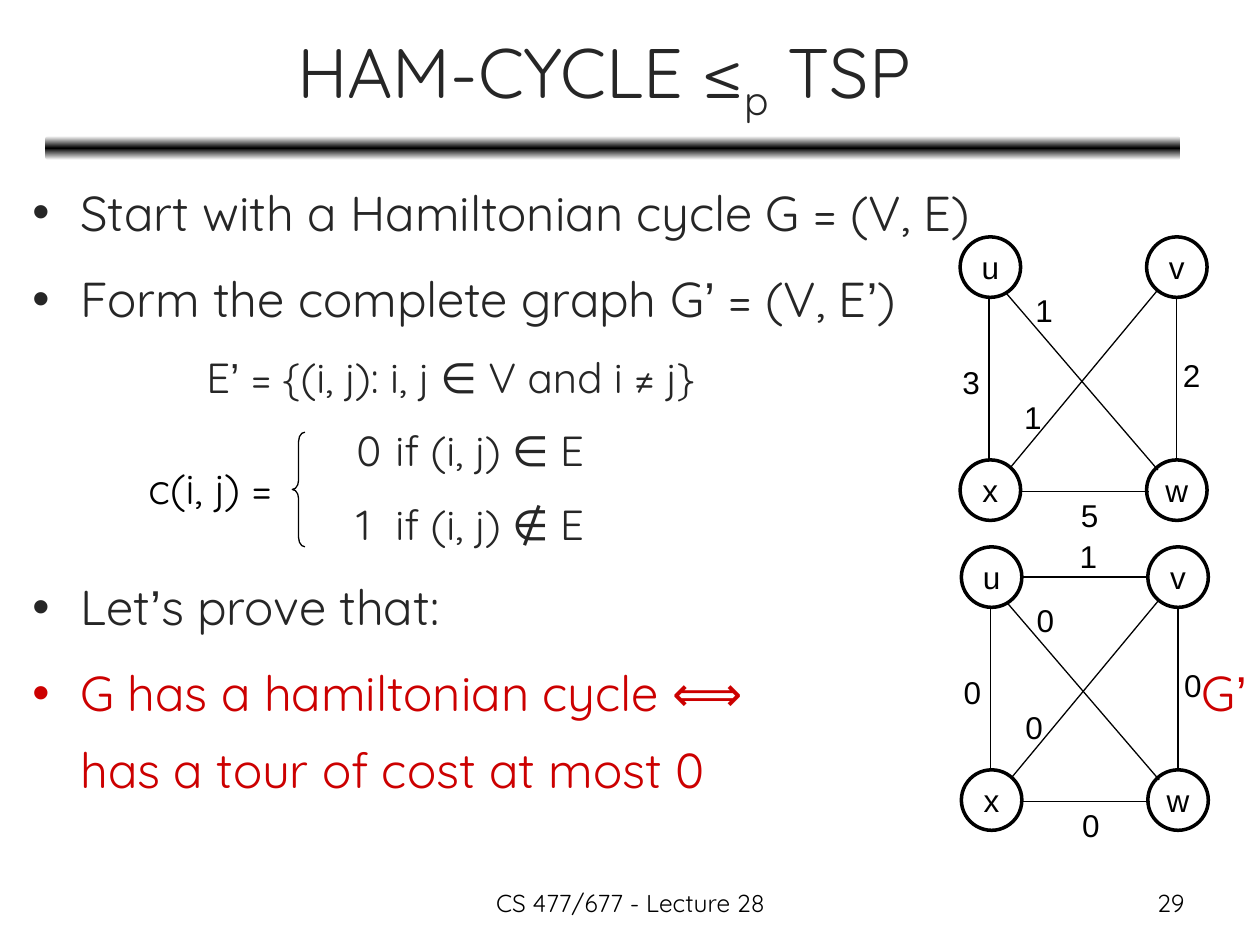
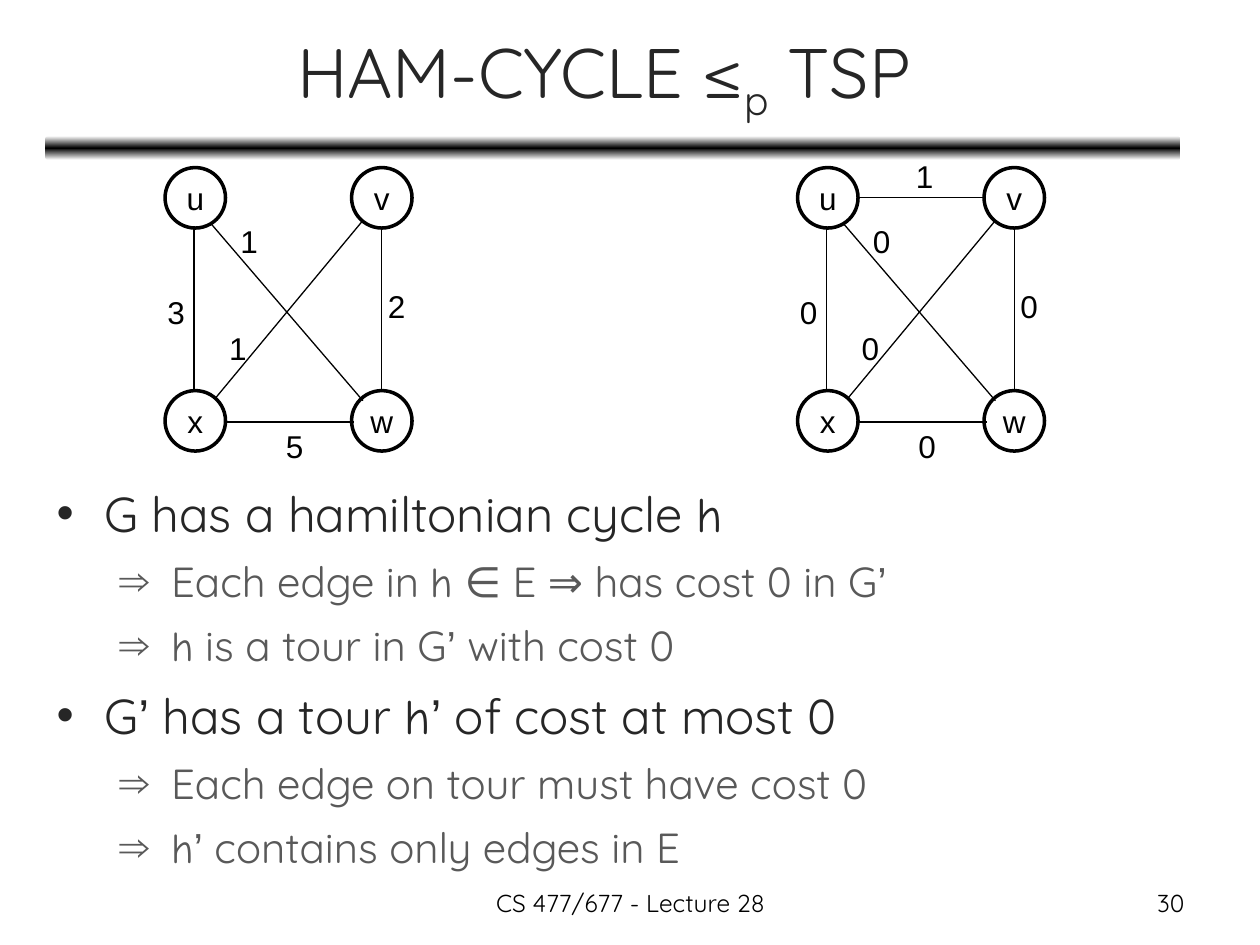
from copy import deepcopy
from itertools import groupby

from lxml import etree
from pptx import Presentation
from pptx.dml.color import RGBColor
from pptx.enum.shapes import MSO_CONNECTOR, MSO_SHAPE
from pptx.enum.text import MSO_ANCHOR, PP_ALIGN
from pptx.oxml.ns import qn
from pptx.util import Inches, Pt

LEFT, MID, RIGHT = PP_ALIGN.LEFT, PP_ALIGN.CENTER, PP_ALIGN.RIGHT
TOP, CENTER = MSO_ANCHOR.TOP, MSO_ANCHOR.MIDDLE
OVAL, BRACE, BAR = MSO_SHAPE.OVAL, MSO_SHAPE.LEFT_BRACE, MSO_SHAPE.ROUNDED_RECTANGLE
LINE = MSO_CONNECTOR.STRAIGHT

MAIN, PLAIN, HAND = "Quicksand", "Arial", "Comic Neue"
BLACK, WHITE, DARK, GRAY, RED = "000000", "FFFFFF", "262626", "595959", "CC0000"
FOOTER = "CS 477/677 - Lecture 28"

NODES = {"u": (0, 0), "v": (1.48, 0), "x": (0, 1.77), "w": (1.48, 1.77)}
EDGES = {
    "xw": ((0.48, 2.02, 1.5, 2.02), (0.86, 2.01)),
    "ux": ((0.23, 0.47, 0.23, 1.77), (-0.08, 0.95)),
    "vw": ((1.72, 0.47, 1.72, 1.77), (1.67, 0.9)),
    "uw": ((0.36, 0.44, 1.57, 1.85), (0.5, 0.38)),
    "xv": ((1.57, 0.42, 0.4, 1.83), (0.41, 1.23)),
    "uv": ((0.47, 0.24, 1.49, 0.24), (0.84, -0.13)),
}
GIVEN = {"xw": 5, "ux": 3, "vw": 2, "uw": 1, "xv": 1}
FULL = {"xw": 0, "ux": 0, "vw": 0, "uw": 0, "xv": 0, "uv": 1}


def paint(code):
    return RGBColor.from_string(code)


def write(par, text, size=18, color=BLACK, font=MAIN, base=0):
    for index, part in enumerate(text.split("*")):
        for quote, chars in groupby(part, lambda char: char == "’"):
            run = par.add_run()
            run.text = "".join(chars)
            run.font.size = Pt(size)
            run.font.color.rgb = paint(color)
            run.font.name = PLAIN if quote else HAND if index % 2 else font
            if base:
                run._r.get_or_add_rPr().set("baseline", str(base * 1000))


def frame(slide, x, y, w, h, wrap=True, anchor=TOP):
    box = slide.shapes.add_textbox(Inches(x), Inches(y), Inches(w), Inches(h))
    box.text_frame.word_wrap = wrap
    box.text_frame.vertical_anchor = anchor
    return box.text_frame


def label(slide, text, x, y, w, h, wrap=True, align=LEFT, **style):
    par = frame(slide, x, y, w, h, wrap).paragraphs[0]
    par.alignment = align
    write(par, text, **style)


def form(slide, kind, x, y, w, h):
    shape = slide.shapes.add_shape(kind, Inches(x), Inches(y), Inches(w), Inches(h))
    shape.shadow.inherit = False
    return shape


def outline(item, width):
    item.line.color.rgb = paint(BLACK)
    item.line.width = Pt(width)


def bar(slide):
    shape = form(slide, BAR, 0.36, 1.08, 9.01, 0.19)
    shape.line.fill.background()
    shape.fill.gradient()
    shape.fill.gradient_angle = 90
    stops = next(shape._element.iter(qn("a:gsLst")))
    stops.insert(1, deepcopy(stops[0]))
    for stop, place, code in zip(shape.fill.gradient_stops, (0, 0.5, 1), (WHITE, BLACK, WHITE)):
        stop.position = place
        stop.color.rgb = paint(code)


def start(deck, number):
    slide = deck.slides.add_slide(deck.slide_layouts[6])
    bar(slide)
    par = frame(slide, 0.37, 0.11, 9, 0.99, anchor=CENTER).paragraphs[0]
    par.alignment = MID
    for text, base in (("HAM-CYCLE ≤", 0), ("p", -25), (" TSP ", 0)):
        write(par, text, size=40, color=DARK, base=base)
    label(slide, str(number), 7.17, 7, 2.33, 0.35, align=RIGHT, size=14)
    label(slide, FOOTER, 3.42, 7, 3.17, 0.35, align=MID, size=14)
    return slide


def node(slide, name, x, y):
    shape = form(slide, OVAL, x, y, 0.48, 0.48)
    shape.fill.solid()
    shape.fill.fore_color.rgb = paint(WHITE)
    outline(shape, 2)
    shape.text_frame.word_wrap = False
    shape.text_frame.vertical_anchor = CENTER
    par = shape.text_frame.paragraphs[0]
    par.alignment = MID
    write(par, name, font=PLAIN)


def edge(slide, *ends):
    line = slide.shapes.add_connector(LINE, *map(Inches, ends))
    outline(line, 0.75)
    etree.SubElement(line._element.spPr, qn("a:effectLst"))


def graph(slide, x, y, costs):
    for name, (dx, dy) in NODES.items():
        node(slide, name, x + dx, y + dy)
    for pair, cost in costs.items():
        (ax, ay, bx, by), (dx, dy) = EDGES[pair]
        edge(slide, x + ax, y + ay, x + bx, y + by)
        label(slide, str(cost), x + dx, y + dy, 0.34, 0.4, wrap=False, font=PLAIN)


def body(slide, place, rows, space):
    text = frame(slide, *place)
    text.margin_right = 0
    for index, (line, size, color, mark, margin, indent, stop) in enumerate(rows):
        par = text.add_paragraph() if index else text.paragraphs[0]
        par.line_spacing = space
        if index:
            par.space_before = Pt(0.2 * size)
        props = par._p.get_or_add_pPr()
        props.set("marL", str(Inches(margin)))
        props.set("indent", str(Inches(indent)))
        if mark:
            etree.SubElement(props, qn("a:buFont"), typeface=PLAIN)
            etree.SubElement(props, qn("a:buChar"), char=mark)
        if stop:
            tabs = etree.SubElement(props, qn("a:tabLst"))
            etree.SubElement(tabs, qn("a:tab"), pos=str(Inches(stop)), algn="l")
        write(par, line, size, color)


def point(text, color=DARK, stop=0):
    return text, 28, color, "•", 0.38, -0.38, stop


def math(text, margin, indent=0, stop=0):
    return text, 24, DARK, "", margin, indent, stop


def step(text):
    return text, 24, GRAY, "⇒", 0.91, -0.41, 0


def reduce(deck):
    slide = start(deck, 29)
    body(slide, (0.16, 1.26, 9.84, 5.92), [
        point("Start with a Hamiltonian cycle G = (V, E)"),
        point("Form the complete graph G’ = (V, E’)"),
        math("E’ = {(i, j): i, j ∈ V and i ≠ j}", 1.38),
        math("0\tif (i, j) ∈ E", 2.38, 0.19, 3.38),
        math("1\tif (i, j) ∉ E", 2.38, 0.19, 3.38),
        point("Let’s prove that:"),
        point("G has a hamiltonian cycle ⟺\tG’ has a tour of cost at most 0", RED, 9.28),
    ], 1.3)
    graph(slide, 7.62, 1.88, GIVEN)
    graph(slide, 7.63, 4.34, FULL)
    brace = form(slide, BRACE, 2.32, 3.43, 0.1, 0.91)
    brace.adjustments[0] = 0.73
    brace.fill.background()
    outline(brace, 0.75)
    label(slide, "c(i, j) =", 1.08, 3.62, 1.29, 0.5, wrap=False, size=24)


def prove(deck):
    slide = start(deck, 30)
    body(slide, (0.35, 3.74, 9.41, 3.51), [
        point("G has a hamiltonian cycle *h*"),
        step("Each edge in *h* ∈ E ⇒ has cost 0 in G’"),
        step("*h* is a tour in G’ with cost 0"),
        point("G’ has a tour *h*’ of cost at most 0"),
        step("Each edge on tour must have cost 0"),
        step("*h*’ contains only edges in E"),
    ], 1.1)
    graph(slide, 1.31, 1.33, GIVEN)
    graph(slide, 6.33, 1.33, FULL)


def main():
    deck = Presentation()
    deck.slide_width, deck.slide_height = Inches(10), Inches(7.5)
    reduce(deck)
    prove(deck)
    deck.save("out.pptx")


if __name__ == "__main__":
    main()
